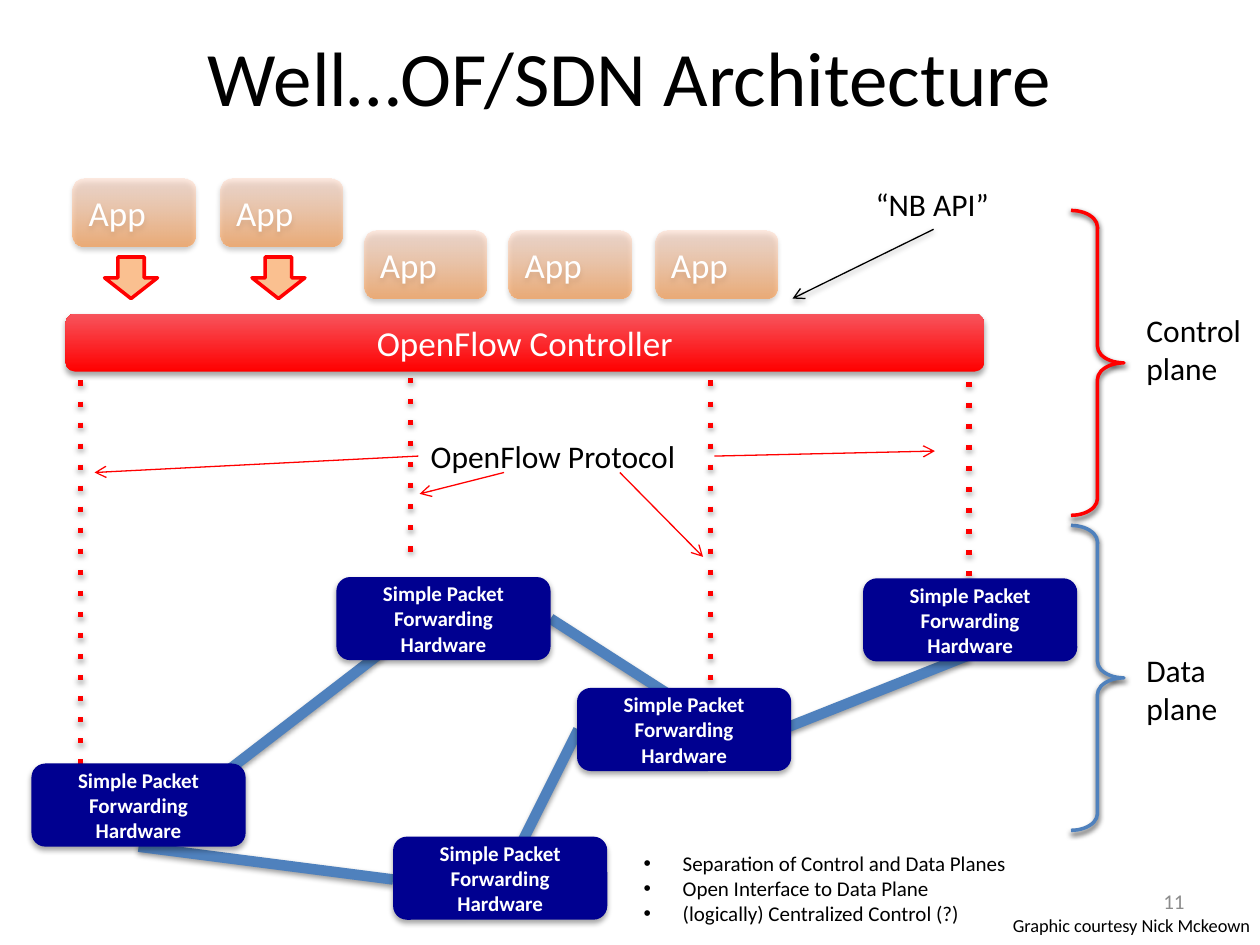
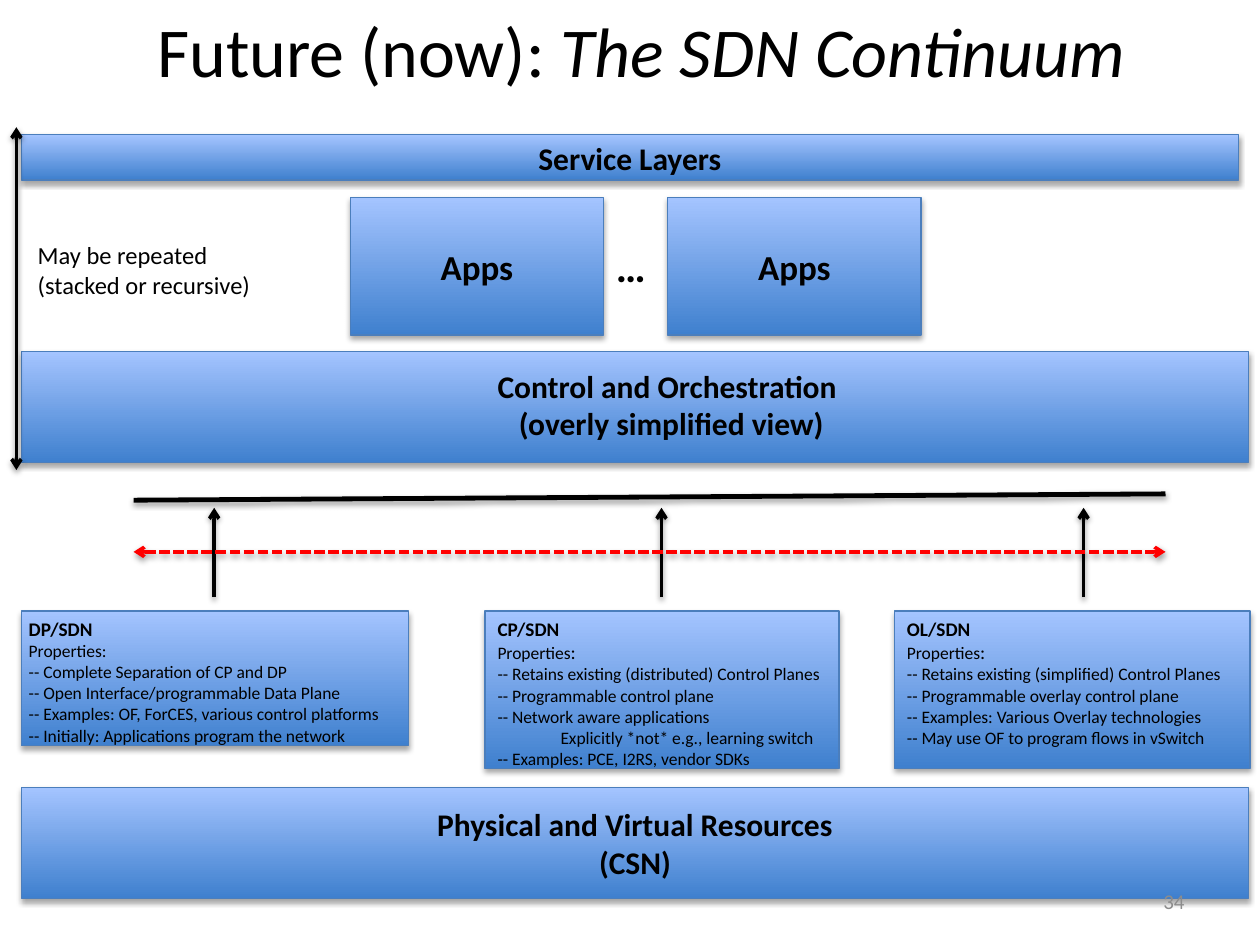
import pptx
import pptx.dml.color
import pptx.enum.shapes
import pptx.enum.text
import pptx.oxml.ns
import pptx.util
from lxml import etree

EMU_PER_PX = 9144  # 100 px to the inch
FONT = "Calibri"
BLACK, WHITE, RED, GREY = "000000", "FFFFFF", "FF0000", "8C8C8C"
NAVY, LINK_BLUE, EDGE_BLUE, PEACH = "000090", "4F81BD", "4B7EBC", "FAC090"
# Gradients run from bottom to top: (colour, opacity in percent)
APP_FILL = (("FF953E", 60), ("FFD2BD", 45))
CONTROLLER_FILL = ((RED, 100), ("F7545C", 100))
LAYER_FILL = (("3F80CE", 100), ("A4C4FF", 100))
# Shadows: (opacity in percent, distance in EMU)
BOX_SHADOW, LINE_SHADOW, BRACE_SHADOW = (35, 23000), (38, 20000), (69, 20000)

SHAPE = pptx.enum.shapes.MSO_SHAPE
ALIGN = pptx.enum.text.PP_ALIGN
ANCHOR = pptx.enum.text.MSO_ANCHOR


def px(length):
    return pptx.util.Emu(length * EMU_PER_PX)


def rgb(hex_color):
    return pptx.dml.color.RGBColor.from_string(hex_color)


def add_xml(parent, tag, **attributes):
    child = etree.SubElement(parent, pptx.oxml.ns.qn(tag))
    for name, value in attributes.items():
        child.set(name, str(value))
    return child


def cast_shadow(effects, shadow):
    opacity, distance = shadow
    outer = add_xml(effects, "a:outerShdw", blurRad=40000, dist=distance,
                    dir=5400000, rotWithShape=0)
    color = add_xml(outer, "a:srgbClr", val=BLACK)
    add_xml(color, "a:alpha", val=opacity * 1000)


def write(frame, text, size=18, color=BLACK, bold=False, italic=False,
          align=ALIGN.LEFT, indent=0, bullet=None, join=False):
    """Add a paragraph, or with join a span at the end of the last one."""
    para = frame.paragraphs[-1]
    if not join:
        if para.runs:
            para = frame.add_paragraph()
        para.alignment = align
        properties = para._p.get_or_add_pPr()
        if indent:
            properties.set("marL", str(px(indent)))
        if bullet:
            properties.set("indent", str(-px(indent)))
            add_xml(properties, "a:buFont", typeface="Arial")
            add_xml(properties, "a:buChar", char=bullet)
    span = para.add_run()
    span.text = text
    span.font.name = FONT
    span.font.size = pptx.util.Pt(size)
    span.font.bold = bold
    span.font.italic = italic
    span.font.color.rgb = rgb(color)


class Page:
    """The current slide and the look of its elements."""

    def __init__(self, deck):
        self.slide = deck.slides.add_slide(deck.slide_layouts[6])

    def text(self, left, top, width, height, *lines, wrap=True,
             anchor=ANCHOR.TOP, **style):
        box = self.slide.shapes.add_textbox(px(left), px(top), px(width), px(height))
        frame = box.text_frame
        frame.word_wrap = wrap
        frame.vertical_anchor = anchor
        for line in lines:
            write(frame, line, **style)
        return frame

    def title(self, left, top, width, height, text, size):
        return self.text(left, top, width, height, text, size=size,
                         anchor=ANCHOR.MIDDLE, align=ALIGN.CENTER)

    def number(self, text):
        self.text(717, 695, 233, 40, text, size=12, color=GREY,
                  anchor=ANCHOR.MIDDLE, align=ALIGN.RIGHT)

    def shape(self, kind, left, top, width, height, *lines, fill=None,
              edge=None, weight=0.75, shadow=BOX_SHADOW, **style):
        shape = self.slide.shapes.add_shape(
            kind, px(left), px(top), px(width), px(height))
        shape.shadow.inherit = False
        properties = shape._element.spPr
        if shadow:
            cast_shadow(properties.find(pptx.oxml.ns.qn("a:effectLst")), shadow)
        if fill is None:
            shape.fill.background()
        elif isinstance(fill, str):
            shape.fill.solid()
            shape.fill.fore_color.rgb = rgb(fill)
        else:
            self.fade(shape, fill)
        if edge:
            shape.line.color.rgb = rgb(edge)
            shape.line.width = pptx.util.Pt(weight)
        else:
            shape.line.fill.background()
        shape.text_frame.word_wrap = True
        shape.text_frame.vertical_anchor = ANCHOR.MIDDLE
        for line in lines:
            write(shape.text_frame, line, **style)
        return shape

    def fade(self, shape, colors):
        """Fill a shape with a gradient that rises from its bottom edge."""
        shape.fill.gradient()
        shape.fill.gradient_angle = 90
        stops = shape.fill.gradient_stops
        for position, (stop, (color, _)) in enumerate(zip(stops, colors)):
            stop.position = position
            stop.color.rgb = rgb(color)
        marks = shape._element.spPr.iter(pptx.oxml.ns.qn("a:gs"))
        for mark, (_, opacity) in zip(marks, colors):
            if opacity < 100:
                add_xml(mark[0], "a:alpha", val=opacity * 1000)

    def line(self, x1, y1, x2, y2, color=BLACK, weight=0.75, dash=None,
             head=False, tail=False, shadow=LINE_SHADOW):
        line = self.slide.shapes.add_connector(
            pptx.enum.shapes.MSO_CONNECTOR.STRAIGHT, px(x1), px(y1), px(x2), px(y2))
        line.line.color.rgb = rgb(color)
        line.line.width = pptx.util.Pt(weight)
        properties = line._element.spPr
        stroke = properties.find(pptx.oxml.ns.qn("a:ln"))
        if dash:
            add_xml(stroke, "a:prstDash", val=dash)
        if head:
            add_xml(stroke, "a:headEnd", type="arrow")
        if tail:
            add_xml(stroke, "a:tailEnd", type="arrow")
        effects = add_xml(properties, "a:effectLst")
        if shadow:
            cast_shadow(effects, shadow)

    def app(self, left, top):
        self.shape(SHAPE.ROUNDED_RECTANGLE, left, top, 97, 54, "App",
                   fill=APP_FILL, size=20, color=WHITE)

    def switch(self, left, top):
        self.shape(SHAPE.ROUNDED_RECTANGLE, left, top, 170, 66,
                   "Simple Packet Forwarding Hardware", fill=NAVY,
                   size=12, color=WHITE, bold=True, align=ALIGN.CENTER)

    def plane(self, top, name, color):
        brace = self.shape(SHAPE.RIGHT_BRACE, 850, top, 42, 242, edge=color,
                           weight=2, shadow=BRACE_SHADOW)
        brace.adjustments[0] = 0.315
        brace.adjustments[1] = 0.5
        self.text(900, top + 75 if color == RED else top + 95, 98, 71, name)

    def layer(self, left, top, width, height, *lines, size=18):
        self.shape(SHAPE.RECTANGLE, left, top, width, height, *lines,
                   fill=LAYER_FILL, edge=EDGE_BLUE, size=size, bold=True,
                   align=ALIGN.CENTER)

    def model(self, box, text_left, text_width, wrap, colon_size, name, properties):
        """Draw one SDN model: its panel, heading and list of properties."""
        self.layer(*box)
        frame = self.text(text_left, 485, text_width, 114, name, wrap=wrap,
                          size=11, bold=True)
        write(frame, "Properties", size=10)
        write(frame, ":", size=colon_size, join=True)
        for item in properties:
            if item.startswith("--"):
                write(frame, item, size=10)
            else:
                write(frame, item, size=10, indent=50)


def build_architecture(deck):
    page = Page(deck)
    page.title(50, 18, 900, 84, "Well…OF/SDN Architecture", 44)

    for ends in ((179, 613, 361, 473), (437, 491, 529, 550), (396, 705, 459, 579),
                 (110, 672, 312, 698), (613, 582, 769, 520)):
        page.line(*ends, color=LINK_BLUE, weight=6)
    for x, top, bottom in ((64, 302, 606), (326, 300, 450),
                           (564, 302, 542), (769, 303, 459)):
        page.line(x, top, x, bottom, color=RED, weight=3, dash="dot")
    for corner in ((25, 606), (458, 546), (312, 664), (267, 458), (685, 459)):
        page.switch(*corner)

    for corner in ((58, 142), (175, 142), (289, 183), (404, 183), (520, 183)):
        page.app(*corner)
    for left in (83, 200):
        page.shape(SHAPE.DOWN_ARROW, left, 204, 42, 33, fill=PEACH, edge=RED,
                   weight=2, shadow=None)
    page.shape(SHAPE.ROUNDED_RECTANGLE, 52, 249, 729, 46, "OpenFlow Controller",
               fill=CONTROLLER_FILL, size=20, color=WHITE, align=ALIGN.CENTER)

    page.plane(417, "Data plane", LINK_BLUE)
    page.plane(167, "Control plane", RED)

    page.text(332, 342, 235, 40, "OpenFlow Protocol", wrap=False)
    for ends in ((567, 362, 742, 358), (332, 362, 75, 375),
                 (492, 375, 558, 442), (400, 375, 333, 392)):
        page.line(*ends, color=RED, tail=True, shadow=None)
    page.text(685, 142, 111, 40, "“NB API”", wrap=False)
    page.line(741, 182, 629, 237, tail=True)

    page.text(501, 670, 312, 71, "Separation of Control and Data Planes",
              "Open Interface to Data Plane", "(logically) Centralized Control (?)",
              wrap=False, size=12, indent=31, bullet="•")
    page.text(794, 721, 213, 27, "Graphic courtesy Nick Mckeown",
              wrap=False, size=10.5)
    page.number("11")


def build_continuum(deck):
    page = Page(deck)
    page.line(106, 397, 925, 392, weight=2.75)
    for x in (170, 525, 860):
        page.line(x, 474, x, 403, weight=2, tail=True)

    page.model((17, 485, 307, 107), 13, 314, True, 10, "DP/SDN", (
        "-- Complete Separation of CP and DP",
        "-- Open Interface/programmable Data Plane",
        "-- Examples: OF, ForCES, various control platforms",
        "-- Initially: Applications program the network"))
    page.model((710, 485, 282, 125), 710, 274, False, 11, "OL/SDN", (
        "-- Retains existing (simplified) Control Planes",
        "-- Programmable overlay control plane",
        "-- Examples: Various Overlay technologies",
        "-- May use OF to program flows in vSwitch"))
    page.model((385, 485, 281, 125), 385, 281, False, 11, "CP/SDN", (
        "-- Retains existing (distributed) Control Planes",
        "-- Programmable control plane",
        "-- Network aware applications",
        "Explicitly *not* e.g., learning switch",
        "-- Examples: PCE, I2RS, vendor SDKs"))

    page.layer(17, 625, 974, 88, "Physical and Virtual Resources", "(CSN)")
    page.layer(17, 279, 974, 88)
    control = page.text(385, 286, 305, 71, "Control and Orchestration",
                        wrap=False, bold=True)
    write(control, "(overly simplified view)", bold=True, indent=17)
    for left in (278, 530):
        page.layer(left, 157, 201, 109, "Apps", size=20)
    page.text(479, 186, 44, 50, "…", size=24, bold=True)
    page.layer(17, 107, 966, 36, "Service Layers")

    page.line(106, 438, 925, 438, color=RED, weight=2, dash="sysDash",
              head=True, tail=True)
    title = page.title(34, 0, 950, 79, "Future (now): ", 40)
    write(title, "The SDN Continuum", size=40, italic=True, join=True)
    page.line(13, 101, 13, 373, weight=2, head=True, tail=True)
    page.text(20, 186, 192, 57, "May be repeated", "(stacked or recursive)",
              wrap=False, size=14)
    page.number("34")


def main():
    deck = pptx.Presentation()
    deck.slide_width, deck.slide_height = px(1000), px(750)
    build_architecture(deck)
    build_continuum(deck)
    deck.save("out.pptx")


if __name__ == "__main__":
    main()
